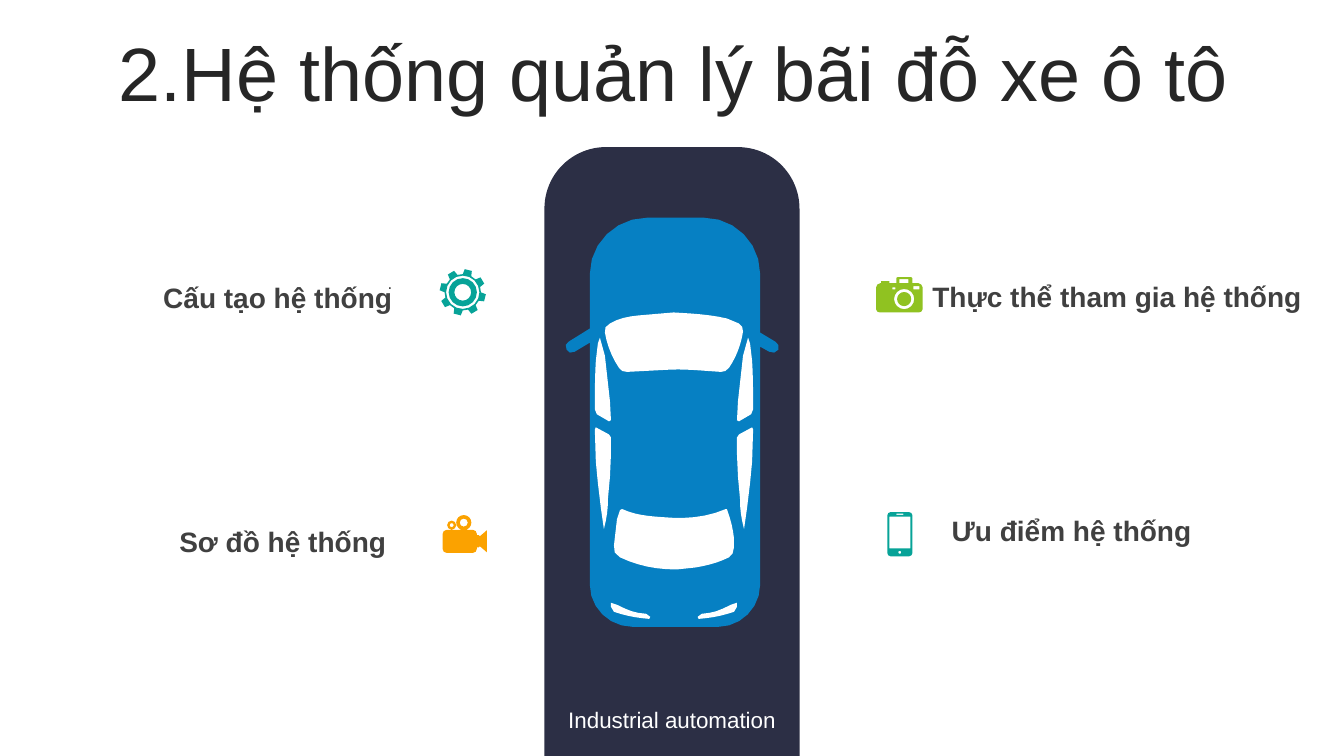
"""Builds the slide that introduces a car park management system."""
import math

import pptx
import pptx.dml.color
import pptx.enum.shapes
import pptx.enum.text
import pptx.util

Inches = pptx.util.Inches
ALIGN = pptx.enum.text.PP_ALIGN
LANE, CAR, WHITE = "2C2F45", "0680C3", "FFFFFF"
TEAL, GREEN, ORANGE = "07A398", "90C221", "FBA200"
TITLE_COLOR, LABEL_COLOR = "262626", "404040"

CAR_BODY = (
    "208 123, 193 114, 193 56, 193 25 168 0 137 0, 81 0, 50 0 24 25 24 56, 24 110, 3 123, "
    "0 124 -1 128 1 131, 2 134 6 135 9 133, 24 124, 24 364, 24 387 43 406 67 406, 151 406, "
    "174 406 193 387 193 364, 193 128, 202 133, 205 135 209 134 211 131, 212 128 211 124 208 123"
)
WINDSHIELD = (
    "107 94, 125 95 143 96 160 100, 172 105, 175 107 176 109 176 113, "
    "174 126 169 139 162 149, 160 152 157 153 154 153, 140 152, "
    "126 151 112 150 99 151, 61 153, 57 153 55 152 53 149, "
    "46 139 41 126 39 114, 38 110 40 107 44 105, 52 100 62 98 72 97"
)
REAR_WINDOW = (
    "160 289, 164 300 166 309 167 318, 167 327, 167 332 165 335 162 337, "
    "152 342 141 345 129 347, 110 349, 89 349 71 345 54 337, 49 335 47 330 48 325, "
    "51 299, 54 290, 56 289, 69 295 82 296 95 297, 117 299 138 298 159 289"
)
RIGHT_SIDE_PARTS = (
    "181 119, 183 125, 185 142, 186 159 186 174 186 190, 184 195, 172 202, 170 201, "
    "171 182, 173 164, 176 137",
    "185 208, 186 210, 185 242, 183 263, 180 288, 177 309, 174 297 173 290 173 279, "
    "171 257, 170 235, 170 218, 172 215",
    "170 382, 170 386, 167 391, 155 395 145 397 132 398, 131 396, 135 393, "
    "147 392 152 390 164 384",
)
MIRROR_SUM = 215
CAMERA_BODY = (
    "21 0, 35 0, 36 1, 36 6, 42 6, 44 6 46 8 46 10, 46 32, 46 34 44 35 42 35, 4 35, "
    "2 35 0 34 0 32, 0 10, 0 8 2 6 4 6, 5 6, 5 4, 13 4, 13 6, 20 6, 20 1"
)
VIDEO_HORN = "34 20, 36 20, 37 21, 44 15, 44 37, 37 31, 36 32, 34 32"


def color(hex_string):
    """Return the colour for a hex string."""
    return pptx.dml.color.RGBColor.from_string(hex_string)


def trace(outline):
    """Turn steps of two numbers (lines) or six (curves) into points."""
    points = []
    for step in outline.split(","):
        numbers = [float(number) for number in step.split()]
        if len(numbers) == 2:
            points.append(tuple(numbers))
            continue
        controls = [points[-1], *zip(numbers[::2], numbers[1::2])]
        count = max(2, min(6, round(math.dist(controls[0], controls[3]) / 7)))
        for index in range(1, count + 1):
            t = index / count
            weights = ((1 - t) ** 3, 3 * t * (1 - t) ** 2, 3 * t * t * (1 - t), t ** 3)
            points.append(tuple(
                sum(weight * control[axis] for weight, control in zip(weights, controls))
                for axis in (0, 1)
            ))
    return points


def polar(x, y, radius, degrees):
    """Return the point at an angle and a distance from a centre."""
    angle = math.radians(degrees)
    return x + radius * math.cos(angle), y + radius * math.sin(angle)


def circle(x, y, radius):
    """Return the points of a circle, with fewer sides when it is small."""
    sides = 8 if radius < 5 else 16
    return [polar(x, y, radius, side * 360 / sides) for side in range(sides)]


def rounded(left, top, width, height, radius=0):
    """Return the points of a rectangle with rounded corners."""
    right, bottom = left + width - radius, top + height - radius
    left, top = left + radius, top + radius
    corners = ((right, bottom), (left, bottom), (left, top), (right, top))
    return [
        polar(x, y, radius, quarter * 90 + degrees)
        for quarter, (x, y) in enumerate(corners)
        for degrees in ((0, 45, 90) if radius else (0,))
    ]


def add_outline(slide, box, contours, fill):
    """Draw contours, in hundredths of an inch from the box corner, as one shape."""
    placed = [
        [(Inches(box[0] + x / 100), Inches(box[1] + y / 100)) for x, y in contour]
        for contour in contours
    ]
    builder = slide.shapes.build_freeform(*placed[0][0])
    for index, contour in enumerate(placed):
        if index:
            builder.move_to(*contour[0])
        builder.add_line_segments(contour[1:], close=True)
    finish(builder.convert_to_shape(), fill)


def finish(shape, fill):
    """Give a shape a plain fill without line or shadow."""
    shape.shadow.inherit = False
    shape.fill.solid()
    shape.fill.fore_color.rgb = color(fill)
    shape.line.fill.background()


def add_text(slide, box, text, size, text_color, alignment=ALIGN.LEFT, bold=False):
    """Add a wrapped line of text and return its text frame."""
    frame = slide.shapes.add_textbox(*map(Inches, box)).text_frame
    frame.word_wrap = True
    frame.text = text
    paragraph = frame.paragraphs[0]
    paragraph.alignment = alignment
    font = paragraph.runs[0].font
    font.name, font.size, font.bold = "Arial", pptx.util.Pt(size), bold
    font.color.rgb = color(text_color)
    return frame


def add_title(slide, box):
    """Add the slide heading."""
    frame = add_text(slide, box, "2.Hệ thống quản lý bãi đỗ xe ô tô", 54, TITLE_COLOR, ALIGN.CENTER)
    frame.vertical_anchor = pptx.enum.text.MSO_ANCHOR.MIDDLE
    frame.paragraphs[0].line_spacing = 0.9
    frame.paragraphs[0].space_before = pptx.util.Pt(10)


def add_lane(slide, box):
    """Add the parking lane with its car and caption."""
    left, top, width, height = box
    kind = pptx.enum.shapes.MSO_SHAPE.ROUND_2_SAME_RECTANGLE
    lane = slide.shapes.add_shape(kind, *map(Inches, box))
    lane.adjustments[0], lane.adjustments[1] = 0.241, 0
    finish(lane, LANE)
    car_box = (left + 0.21, top + 0.7)
    add_outline(slide, car_box, [trace(CAR_BODY)], CAR)
    right_parts = [trace(part) for part in RIGHT_SIDE_PARTS]
    left_parts = [[(MIRROR_SUM - x, y) for x, y in part] for part in right_parts]
    windows = [trace(WINDSHIELD), trace(REAR_WINDOW), *right_parts, *left_parts]
    add_outline(slide, car_box, windows, WHITE)
    caption_box = (left, top + height - 0.54, width, 0.37)
    add_text(slide, caption_box, "Industrial automation", 16, WHITE, ALIGN.CENTER)


def gear():
    """Return the contours of a gear with eight teeth."""
    corners = ((18, -14), (23, -9), (23, 9), (18, 14))
    teeth = [
        polar(23, 23, radius, tooth * 45 - 76 + offset)
        for tooth in range(8) for radius, offset in corners
    ]
    return [teeth, *(circle(23, 23, radius) for radius in (16.5, 14, 8.3))]


def camera():
    """Return the contours of a photo camera."""
    return [
        trace(CAMERA_BODY), circle(27.8, 21.7, 10), circle(27.8, 21.7, 7),
        rounded(16, 10, 3, 2), rounded(37, 9, 6, 3), rounded(23, 2, 9, 4),
    ]


def video_camera():
    """Return the contours of a video camera with two reels."""
    reels = ((21, 7.5, 7.5), (21, 7.5, 4), (9, 10, 4.5), (9, 10, 2))
    return [rounded(0, 14.7, 34, 22.8, 4), trace(VIDEO_HORN), *(circle(*reel) for reel in reels)]


def phone():
    """Return the contours of a mobile phone."""
    return [
        rounded(0, 0, 25, 44, 3.5), rounded(2, 4.5, 21, 31.5),
        rounded(9, 1.6, 7, 1.2), circle(12.4, 40, 1.5),
    ]


def add_topic(slide, icon_box, contours, fill, label_box, label, alignment):
    """Add a topic made of an icon and a bold label."""
    add_outline(slide, icon_box, contours, fill)
    add_text(slide, label_box, label, 20, LABEL_COLOR, alignment, True)


def main():
    """Build and save the presentation."""
    presentation = pptx.Presentation()
    presentation.slide_width, presentation.slide_height = Inches(13.33), Inches(7.5)
    slide = presentation.slides.add_slide(presentation.slide_layouts[6])
    add_title(slide, (0.35, 0.37, 12.66, 0.79))
    add_lane(slide, (5.4, 1.46, 2.53, 6.04))
    add_text(slide, (0.66, 2.66, 3.33, 0.3), ".", 12, LABEL_COLOR, ALIGN.RIGHT)
    topics = (
        ((4.36, 2.67), gear(), TEAL, (0.66, 2.73, 3.33, 0.44), "Cấu tạo hệ thống", ALIGN.RIGHT),
        ((4.39, 5.11), video_camera(), ORANGE, (0.6, 5.15, 3.33, 0.44), "Sơ đồ hệ thống", ALIGN.RIGHT),
        ((8.69, 2.75), camera(), GREEN, (8.39, 2.72, 4.62, 0.44), "Thực thể tham gia hệ thống", ALIGN.RIGHT),
        ((8.8, 5.08), phone(), TEAL, (9.34, 5.05, 3.33, 0.44), "Ưu điểm hệ thống", ALIGN.LEFT),
    )
    for topic in topics:
        add_topic(slide, *topic)
    presentation.save("out.pptx")


if __name__ == "__main__":
    main()
